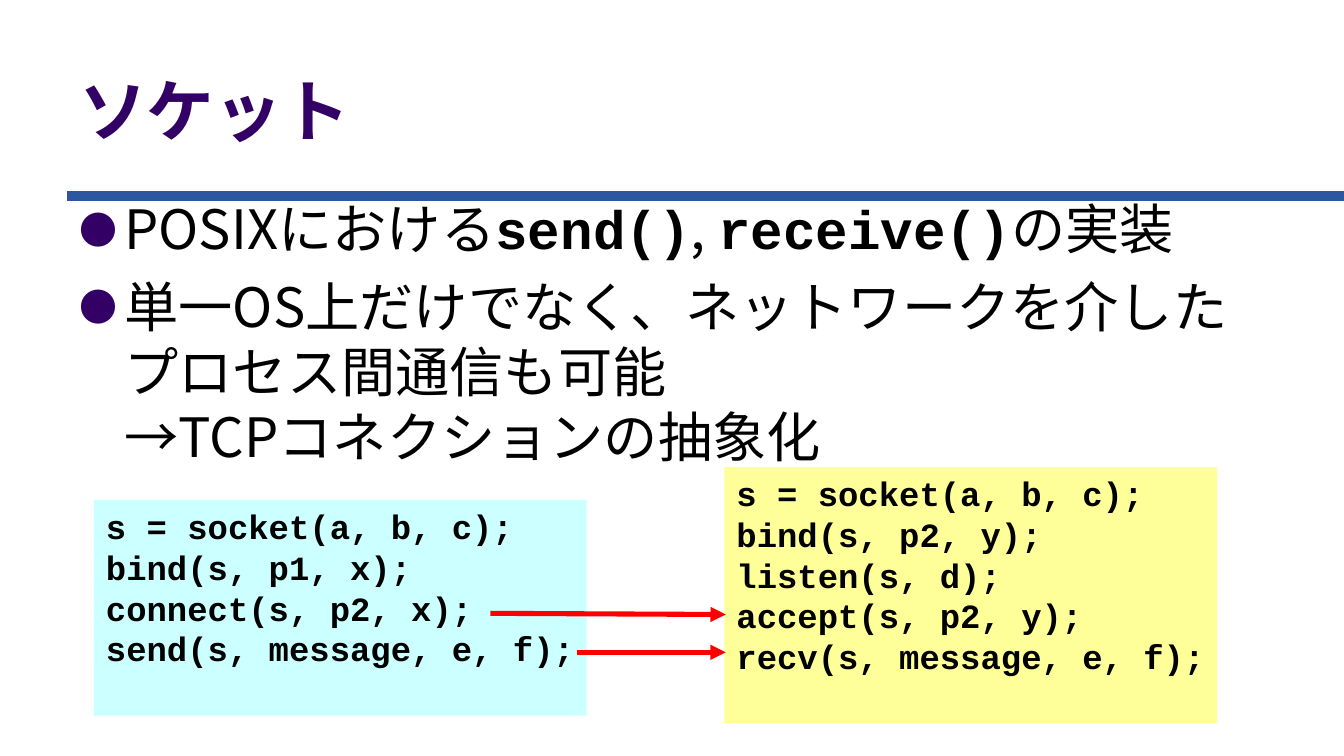
"""Build the slide on sockets, with client and server code side by side."""
from dataclasses import dataclass

import pptx
import pptx.dml.color
import pptx.enum.shapes
import pptx.enum.text
import pptx.oxml.ns
import pptx.util
from lxml import etree

WIDTH, HEIGHT = 11.02, 6.2
SANS, MONO = "Noto Sans CJK JP", "Courier New"
COLORS = {
    "title": "330066",
    "text": "000000",
    "rule": "2D56A0",
    "client": "CCFFFF",
    "server": "FFFF99",
    "arrow": "FF0000",
}


@dataclass
class Area:
    """Left, top, width and height in percent of the slide."""
    left: float
    top: float
    width: float
    height: float


@dataclass
class CodeBox:
    """Program listing on a coloured panel."""
    area: Area
    color: str
    lines: list[str]


@dataclass
class Line:
    """Straight line between two points in percent of the slide."""
    x1: float
    y1: float
    x2: float
    y2: float
    color: str
    weight: float
    arrow: bool = True


TITLE_AREA = Area(4.99, 1.77, 82.49, 18.87)
BODY_AREA = Area(4.99, 25, 90.02, 64.35)
BULLETS = [
    [("POSIXにおける", SANS), ("send()", MONO), (", ", SANS),
     ("receive()", MONO), ("の実装", SANS)],
    [("単一OS上だけでなく、ネットワークを介した\nプロセス間通信も可能\n→TCPコネクションの抽象化", SANS)],
]
CODE_BOXES = [
    CodeBox(Area(6.99, 66.13, 36.66, 28.55), "client", [
        "s = socket(a, b, c);", "bind(s, p1, x);",
        "connect(s, p2, x);", "send(s, message, e, f);"]),
    CodeBox(Area(53.9, 61.77, 36.66, 33.87), "server", [
        "s = socket(a, b, c);", "bind(s, p2, y);", "listen(s, d);",
        "accept(s, p2, y);", "recv(s, message, e, f);"]),
]
RULE = Line(4.99, 25.97, 100, 25.97, "rule", 5.67, arrow=False)
ARROWS = [
    Line(36.48, 81.13, 54, 81.29, "arrow", 3),
    Line(42.92, 86.29, 54, 86.29, "arrow", 3),
]


def across(percent: float) -> int:
    """Return a share of the slide's width."""
    return pptx.util.Inches(WIDTH * percent / 100)


def down(percent: float) -> int:
    """Return a share of the slide's height."""
    return pptx.util.Inches(HEIGHT * percent / 100)


def rgb(name: str) -> pptx.dml.color.RGBColor:
    """Look up a colour by name."""
    return pptx.dml.color.RGBColor.from_string(COLORS[name])


def place(sp, area: Area) -> None:
    """Move and size a shape."""
    sp.left, sp.top = across(area.left), down(area.top)
    sp.width, sp.height = across(area.width), down(area.height)


def set_frame(tf, anchor, wrap: bool = True) -> None:
    """Set anchor, wrapping and fixed size of a text frame."""
    tf.auto_size = pptx.enum.text.MSO_AUTO_SIZE.NONE
    tf.vertical_anchor = anchor
    tf.word_wrap = wrap


def add_run(p, text: str, font: str, size: float, color: str, bold: bool) -> None:
    """Add one formatted run."""
    r = p.add_run()
    r.text = text
    r.font.name, r.font.size, r.font.bold = font, pptx.util.Pt(size), bold
    r.font.color.rgb = rgb(color)
    ea = etree.SubElement(r.font._element, pptx.oxml.ns.qn("a:ea"))
    ea.set("typeface", font)


def add_bullet(p) -> None:
    """Give a paragraph a hanging round bullet."""
    pPr = p._p.get_or_add_pPr()
    indent = pptx.util.Inches(0.37)
    pPr.set("marL", str(indent))
    pPr.set("indent", str(-indent))
    qn = pptx.oxml.ns.qn
    color = etree.SubElement(pPr, qn("a:buClr"))
    etree.SubElement(color, qn("a:srgbClr")).set("val", COLORS["title"])
    etree.SubElement(pPr, qn("a:buSzPct")).set("val", "70000")
    etree.SubElement(pPr, qn("a:buFont")).set("typeface", SANS)
    etree.SubElement(pPr, qn("a:buChar")).set("char", "●")


def add_title(s) -> None:
    """Fill the title placeholder."""
    sp = s.shapes.title
    place(sp, TITLE_AREA)
    set_frame(sp.text_frame, pptx.enum.text.MSO_ANCHOR.BOTTOM)
    p = sp.text_frame.paragraphs[0]
    p.alignment = pptx.enum.text.PP_ALIGN.LEFT
    add_run(p, "ソケット", SANS, 40, "title", True)


def add_body(s) -> None:
    """Fill the body placeholder with the bullet list."""
    sp = s.placeholders[1]
    place(sp, BODY_AREA)
    tf = sp.text_frame
    set_frame(tf, pptx.enum.text.MSO_ANCHOR.TOP)
    for i, runs in enumerate(BULLETS):
        p = tf.add_paragraph() if i else tf.paragraphs[0]
        add_bullet(p)
        p.space_before = pptx.util.Pt(7.5 if i else 0)
        for text, font in runs:
            for j, part in enumerate(text.split("\n")):
                if j:
                    p.add_line_break()
                add_run(p, part, font, 32, "text", font == MONO)


def add_code(s, box: CodeBox) -> None:
    """Draw a code panel."""
    sp = s.shapes.add_shape(pptx.enum.shapes.MSO_SHAPE.RECTANGLE, 0, 0, 0, 0)
    place(sp, box.area)
    sp.shadow.inherit = False
    sp.fill.solid()
    sp.fill.fore_color.rgb = rgb(box.color)
    sp.line.fill.background()
    tf = sp.text_frame
    set_frame(tf, pptx.enum.text.MSO_ANCHOR.TOP, wrap=False)
    for i, text in enumerate(box.lines):
        p = tf.add_paragraph() if i else tf.paragraphs[0]
        p.alignment = pptx.enum.text.PP_ALIGN.LEFT
        add_run(p, text, MONO, 20, "text", True)


def add_line(s, line: Line) -> None:
    """Draw a straight line, with an arrowhead where wanted."""
    c = s.shapes.add_connector(
        pptx.enum.shapes.MSO_CONNECTOR.STRAIGHT,
        across(line.x1), down(line.y1), across(line.x2), down(line.y2))
    c.line.color.rgb = rgb(line.color)
    c.line.width = pptx.util.Pt(line.weight)
    qn = pptx.oxml.ns.qn
    if line.arrow:
        etree.SubElement(c.line._get_or_add_ln(), qn("a:tailEnd")).set("type", "triangle")
    etree.SubElement(c._element.spPr, qn("a:effectLst"))


def main() -> None:
    """Build and save the slide."""
    prs = pptx.Presentation()
    prs.slide_width, prs.slide_height = across(100), down(100)
    s = prs.slides.add_slide(prs.slide_layouts[1])
    add_line(s, RULE)
    add_title(s)
    add_body(s)
    for box in CODE_BOXES:
        add_code(s, box)
    for arrow in ARROWS:
        add_line(s, arrow)
    prs.save("out.pptx")


if __name__ == "__main__":
    main()
